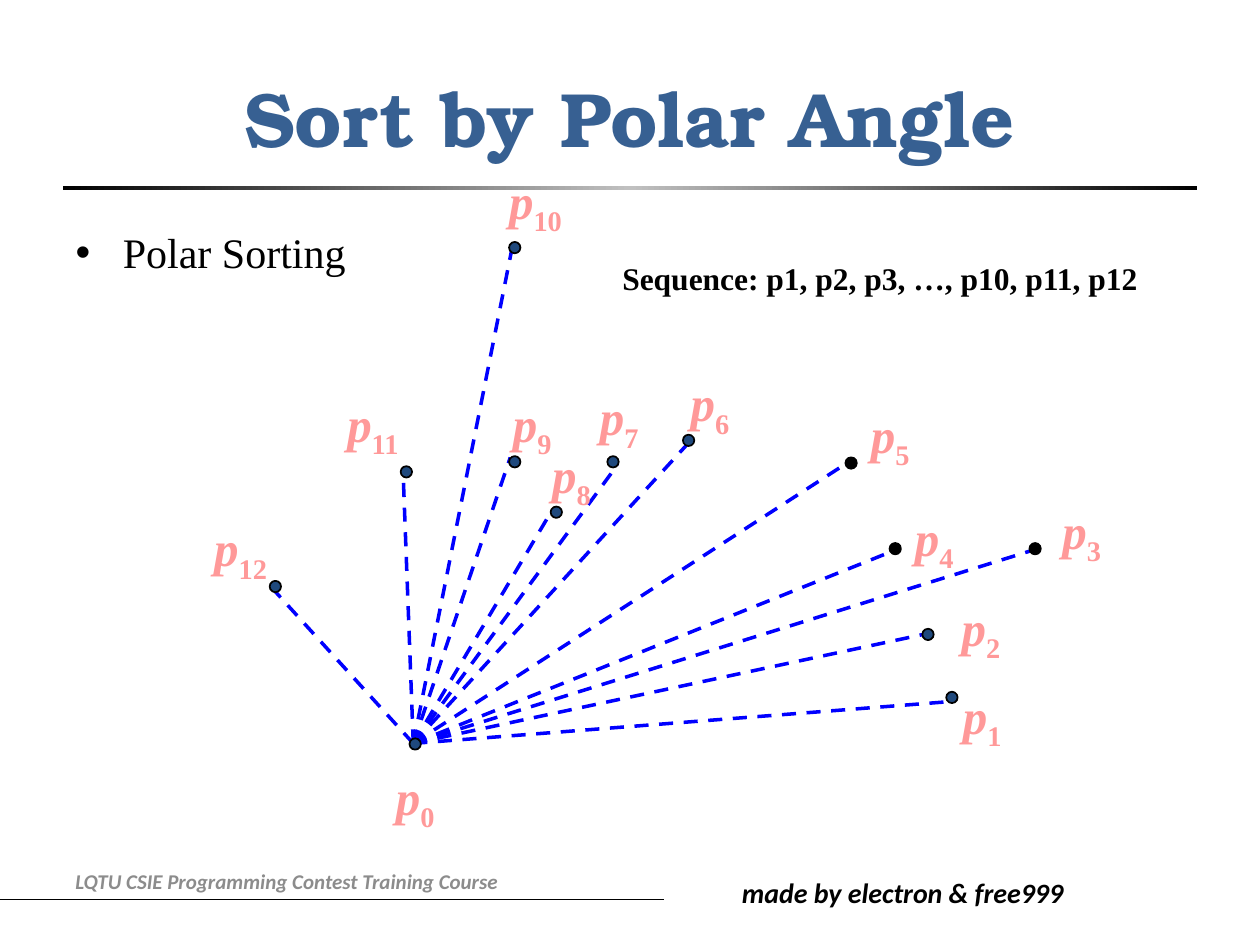
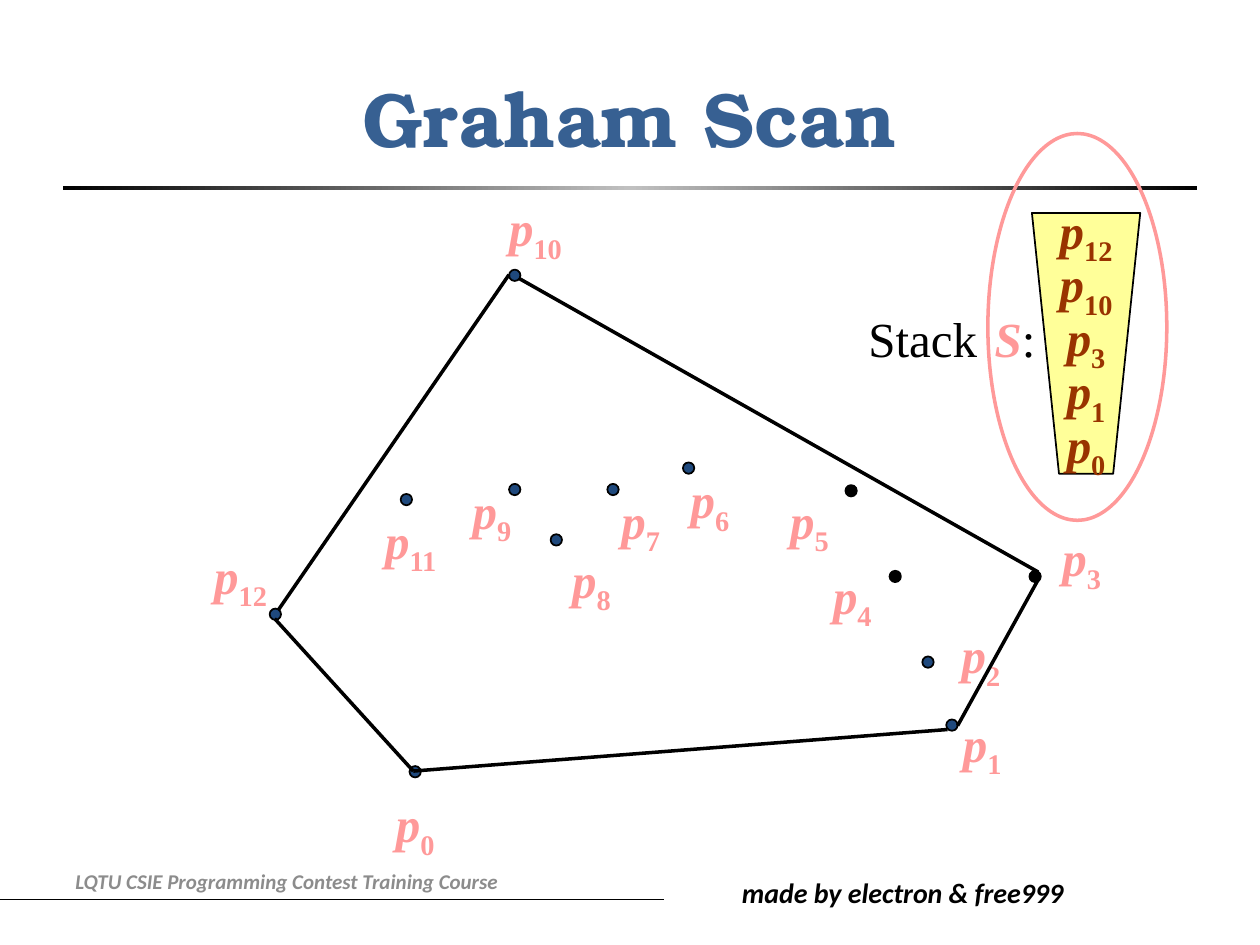
from copy import deepcopy
from dataclasses import dataclass

from lxml import etree
from pptx import Presentation
from pptx.dml.color import RGBColor
from pptx.enum.dml import MSO_LINE
from pptx.enum.shapes import MSO_CONNECTOR, MSO_SHAPE
from pptx.enum.text import MSO_ANCHOR, PP_ALIGN
from pptx.oxml.ns import qn
from pptx.util import Inches, Pt

STRAIGHT = MSO_CONNECTOR.STRAIGHT
RECTANGLE, OVAL = MSO_SHAPE.RECTANGLE, MSO_SHAPE.OVAL
MIDDLE, TOP = MSO_ANCHOR.MIDDLE, MSO_ANCHOR.TOP
LEFT, CENTER, JUSTIFY = PP_ALIGN.LEFT, PP_ALIGN.CENTER, PP_ALIGN.JUSTIFY
DASH = MSO_LINE.DASH

COLUMNS, ROWS = 100, 75
UNIT = Inches(10) / COLUMNS

BLACK, GREY, SILVER = "000000", "8C8C8C", "C0C0C0"
TITLE_BLUE, DOT_BLUE, RAY_BLUE = "376092", "1F497D", "0000FF"
PINK, YELLOW, BROWN = "FF9999", "FFFF99", "993300"
SERIF, SANS, TITLE_FONT = "Times New Roman", "Calibri", "TeX Gyre Bonum"

TITLE_LAYOUT, BODY_LAYOUT = 5, 1
DOT_SIZE = 0.9
BLACK_DOTS = (3, 4, 5)
POINTS = [
    (12.95, 47.05), (55.55, 43.35), (53.65, 38.35), (62.15, 31.55),
    (51.05, 31.55), (47.55, 24.75), (34.65, 22.95), (28.65, 24.65),
    (24.15, 28.65), (20.85, 24.65), (20.85, 7.65), (12.25, 25.45),
    (1.85, 34.55),
]
RAY_ORIGIN = (12.8, 47)
RAY_ENDS = [
    (55.2, 43.7), (54, 38.2), (62.5, 31.5), (50.7, 31.8),
    (47.3, 24.7), (34.7, 23.1), (29, 24.9), (23.7, 28.7),
    (20.5, 24.3), (20.6, 7.9), (12, 25.7), (1.8, 34.9),
]
HULL_EDGES = [
    (RAY_ORIGIN, (55.2, 43.7)), ((56, 43.4), (62.4, 31.8)),
    ((62.4, 31.2), (21.2, 7.9)), ((2.1, 34.2), (20.4, 7.6)),
    ((1.8, 34.9), RAY_ORIGIN),
]
LABEL_OFFSETS = [
    (0, 4.1), (2.4, 1.4), (4.2, -0.6), (3.7, -1.5), (3.1, -0.9),
    (3.1, -2.3), (1.7, -3), (0.5, -3.6), (1.2, -3), (1.4, -3.1),
    (1.65, -3.8), (-2.65, -3.9), (-2.75, -3.1),
]
INNER_LABEL_OFFSETS = {
    4: (-3.4, 1.5), 5: (-3.3, 2.3), 6: (1.7, 2.5), 7: (2.2, 2.4),
    8: (2.8, 3.1), 9: (-1.8, 1.6), 11: (0.35, 3.2),
}
STACK = (12, 10, 3, 1, 0)


@dataclass
class Box:
    """A rectangle in grid columns and rows."""
    left: float
    top: float
    width: float
    height: float

    def inner(self, left, top, width, height):
        """Return a box placed relative to this one."""
        return Box(self.left + left, self.top + top, width, height)

    def point(self, column, row):
        """Return a position inside the box in slide units."""
        return grid(self.left + column), grid(self.top + row)

    def area(self):
        """Return left, top, width and height in slide units."""
        return [grid(n) for n in (self.left, self.top, self.width, self.height)]


PAGE = Box(0, 0, COLUMNS, ROWS)


def grid(steps):
    """Convert grid steps to slide units."""
    return round(steps * UNIT)


def color(value):
    """Turn a hex string into a colour."""
    return RGBColor.from_string(value)


def style(font, size, name, tint, bold=False, italic=None):
    """Set the look of a font."""
    font.size, font.name, font.bold = Pt(size), name, bold
    font.color.rgb = color(tint)
    if italic is not None:
        font.italic = italic


def place(shape, box):
    """Move and size a placeholder to a box."""
    shape.left, shape.top, shape.width, shape.height = box.area()


def add_text(page, box, text, *look, anchor=TOP):
    """Add a wrapped one-line text box."""
    frame = page.shapes.add_textbox(*box.area()).text_frame
    frame.word_wrap, frame.vertical_anchor = True, anchor
    para = frame.paragraphs[0]
    para.text, para.alignment = text, LEFT
    style(para.font, *look)


def add_line(page, box, start, end, tint, weight, dash=None):
    """Draw a straight line between two positions in a box."""
    line = page.shapes.add_connector(STRAIGHT, *box.point(*start), *box.point(*end))
    line.line.color.rgb, line.line.width = color(tint), Pt(weight)
    if dash:
        line.line.dash_style = dash
    etree.SubElement(line._element.spPr, qn("a:effectLst"))


def finish(shape, fill, line, weight):
    """Give a shape its fill and outline without shadow."""
    shape.shadow.inherit = False
    if fill:
        shape.fill.solid()
        shape.fill.fore_color.rgb = color(fill)
    else:
        shape.fill.background()
    shape.line.color.rgb, shape.line.width = color(line), Pt(weight)


def write_point_name(para, number, tint):
    """Write p with a lowered index."""
    para.alignment = CENTER
    style(para.font, 28, SERIF, tint, True)
    letter, index = para.add_run(), para.add_run()
    letter.text, index.text = "p", str(number)
    letter.font.italic, index.font.italic = True, False
    index._r.get_or_add_rPr().set("baseline", "-25000")


def add_title_rule(page, box):
    """Draw the shaded rule under the title."""
    rule = page.shapes.add_shape(RECTANGLE, *box.area())
    rule.shadow.inherit = False
    rule.line.fill.background()
    rule.fill.gradient()
    rule.fill.gradient_angle = 0
    edge, middle = rule.fill.gradient_stops
    edge.color.rgb, edge.position = color(BLACK), 0
    middle.color.rgb, middle.position = color(SILVER), 0.5
    stops = rule._element.spPr.find(".//" + qn("a:gsLst"))
    last = deepcopy(stops[0])
    last.set("pos", "100000")
    stops.append(last)


def add_footer(page, box):
    """Add the course name, its rule and the authors."""
    add_line(page, box, (0, 3.5), (52.7, 3.5), BLACK, 0.5)
    add_text(page, box.inner(57.9, 1.1, 30.4, 3.7), "made by electron & free999",
             16, SANS, BLACK, True, True)
    add_text(page, box.inner(5, 0, 46.6, 4), "LQTU CSIE Programming Contest Training Course",
             12, SANS, GREY, True, True, anchor=MIDDLE)


def add_page(deck, layout, title):
    """Start a slide with the shared title, rule and footer."""
    page = deck.slides.add_slide(deck.slide_layouts[layout])
    add_title_rule(page, PAGE.inner(5, 14.8, 90, 0.3))
    add_footer(page, PAGE.inner(0, 67.9, COLUMNS, 7.1))
    heading = page.shapes.title
    place(heading, PAGE.inner(5, 3, 90, 12.5))
    heading.text_frame.vertical_anchor = MIDDLE
    para = heading.text_frame.paragraphs[0]
    para.text, para.alignment = title, CENTER
    style(para.font, 44, TITLE_FONT, TITLE_BLUE, True)
    return page


def add_points(page, box, offsets):
    """Draw the numbered points and their labels."""
    for number, (column, row) in enumerate(POINTS):
        corner = column - DOT_SIZE / 2, row - DOT_SIZE / 2
        dot = page.shapes.add_shape(OVAL, *box.inner(*corner, DOT_SIZE, DOT_SIZE).area())
        finish(dot, BLACK if number in BLACK_DOTS else DOT_BLUE, BLACK, 1)
        across, down = offsets[number]
        width, height = 3.3 if number < 10 else 4.6, 4.7
        spot = box.inner(column + across - width / 2, row + down - height / 2, width, height)
        frame = page.shapes.add_textbox(*spot.area()).text_frame
        frame.word_wrap = False
        frame.margin_left = frame.margin_right = frame.margin_top = frame.margin_bottom = 0
        write_point_name(frame.paragraphs[0], number, PINK)


def add_stack_caption(page, box):
    """Write the name of the stack."""
    frame = page.shapes.add_textbox(*box.area()).text_frame
    frame.word_wrap = False
    para = frame.paragraphs[0]
    para.alignment, para.font.name = CENTER, SERIF
    for text, size, tint, strong in (("Stack ", 28, BLACK, False), (" ", 12, BLACK, False),
                                     ("S", 28, PINK, True), (":", 28, BLACK, False)):
        span = para.add_run()
        span.text = text
        style(span.font, size, SERIF, tint, strong, strong)


def add_bucket(page, box):
    """Draw the tapered stack with its points."""
    taper = box.width / 4
    builder = page.shapes.build_freeform(*box.point(0, 0))
    builder.add_line_segments([box.point(taper, box.height),
                               box.point(box.width - taper, box.height),
                               box.point(box.width, 0)])
    bucket = builder.convert_to_shape()
    finish(bucket, YELLOW, BLACK, 1)
    frame = bucket.text_frame
    frame.word_wrap, frame.vertical_anchor, frame.margin_top = False, MIDDLE, 0
    for position, number in enumerate(STACK):
        para = frame.add_paragraph() if position else frame.paragraphs[0]
        para.line_spacing = 0.8
        write_point_name(para, number, BROWN)


def add_stack(page, box):
    """Draw the stack, its caption and the ring around it."""
    add_bucket(page, box.inner(14, 6.3, 8.6, 20.7))
    add_stack_caption(page, box.inner(0, 13.4, 15.3, 5.7))
    ring = page.shapes.add_shape(OVAL, *box.inner(10.5, 0, 14.2, box.height).area())
    finish(ring, None, PINK, 2)


def add_sorting_page(deck):
    """Build the slide that sorts points by angle."""
    page = add_page(deck, BODY_LAYOUT, "Sort by Polar Angle")
    body = page.placeholders[1]
    place(body, PAGE.inner(5, 17.5, 90, 49.5))
    para = body.text_frame.paragraphs[0]
    para.text, para.alignment = "Polar Sorting", JUSTIFY
    style(para.font, 24, SERIF, BLACK)
    figure = PAGE.inner(20, 12, 65, 55)
    for end in RAY_ENDS:
        add_line(page, figure, RAY_ORIGIN, end, RAY_BLUE, 2, DASH)
    add_points(page, figure, LABEL_OFFSETS)
    add_text(page, PAGE.inner(48.4, 20.1, 47.9, 4), "Sequence: p1, p2, p3, …, p10, p11, p12",
             18, SERIF, BLACK, True)


def add_scan_page(deck):
    """Build the slide that shows the finished hull."""
    page = add_page(deck, TITLE_LAYOUT, "Graham Scan")
    figure = PAGE.inner(20, 14.2, 65, 55)
    add_points(page, figure, dict(enumerate(LABEL_OFFSETS)) | INNER_LABEL_OFFSETS)
    for start, end in HULL_EDGES:
        add_line(page, figure, start, end, BLACK, 2)
    add_stack(page, PAGE.inner(67.9, 10.6, 24.7, 30.7))


def main():
    """Build and save the deck."""
    deck = Presentation()
    deck.slide_width, deck.slide_height = grid(COLUMNS), grid(ROWS)
    add_sorting_page(deck)
    add_scan_page(deck)
    deck.save("out.pptx")


if __name__ == "__main__":
    main()
